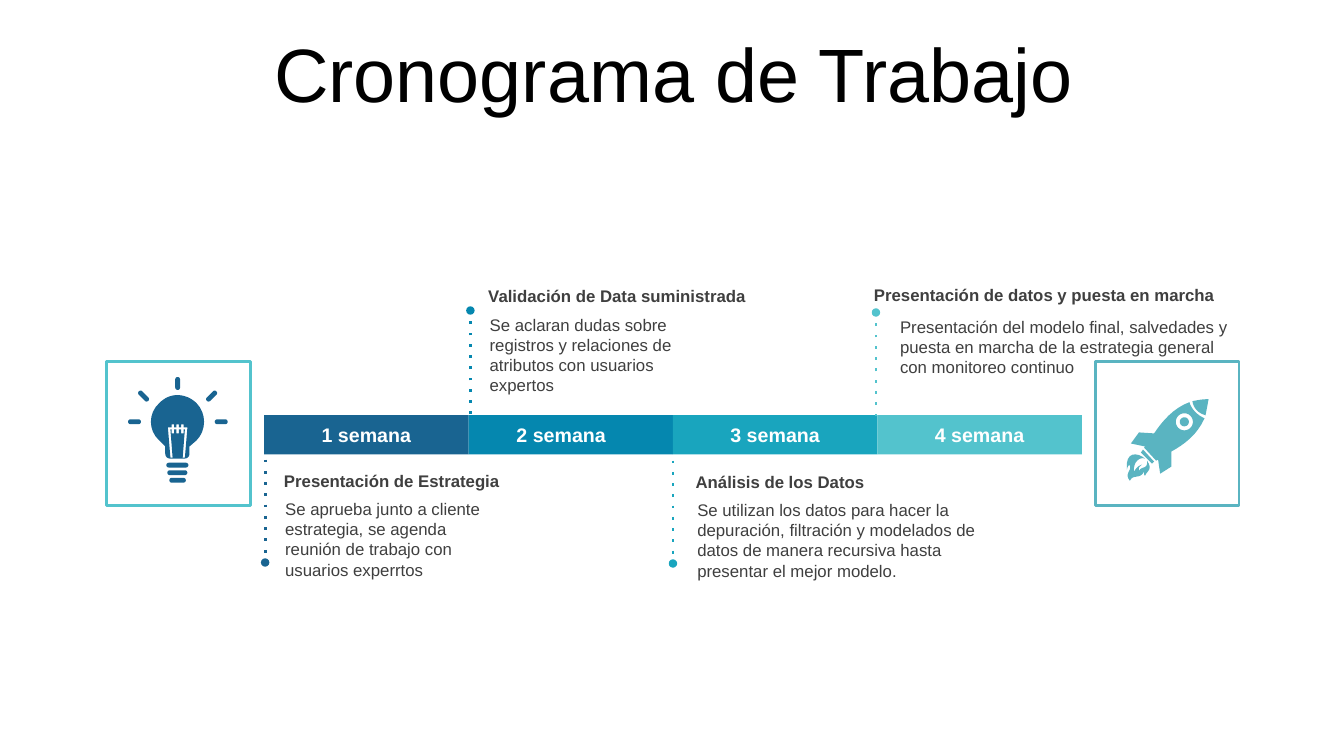
from math import atan2, cos, pi, sin

from lxml import etree
from pptx import Presentation
from pptx.dml.color import RGBColor
from pptx.enum.shapes import MSO_CONNECTOR, MSO_SHAPE
from pptx.enum.text import MSO_ANCHOR, MSO_AUTO_SIZE, PP_ALIGN
from pptx.oxml.ns import qn
from pptx.util import Pt

RECT, LINE = MSO_SHAPE.RECTANGLE, MSO_CONNECTOR.STRAIGHT
MID, TOP = MSO_ANCHOR.MIDDLE, MSO_ANCHOR.TOP
LEFT, MIDST = PP_ALIGN.LEFT, PP_ALIGN.CENTER
GROW, FIXED = MSO_AUTO_SIZE.SHAPE_TO_FIT_TEXT, MSO_AUTO_SIZE.NONE

BLACK = RGBColor(0x00, 0x00, 0x00)
WHITE = RGBColor(0xFF, 0xFF, 0xFF)
GREY = RGBColor(0x3F, 0x3F, 0x3F)
NAVY = RGBColor(0x19, 0x64, 0x91)
BLUE = RGBColor(0x05, 0x87, 0xAF)
TEAL = RGBColor(0x19, 0xA5, 0xBE)
AQUA = RGBColor(0x53, 0xC3, 0xCD)
STEEL = RGBColor(0x5A, 0xB4, 0xC1)

# Week bars: label, colour, alignment, left inset
BAR_X, BAR_Y, BAR_W, BAR_H = 188.7, 296.5, 146, 28.1
WEEKS = [
    ("1 semana", NAVY, MIDST, 7.2),
    ("2 semana", BLUE, LEFT, 34.2),
    ("3 semana", TEAL, MIDST, 7.2),
    ("4 semana", AQUA, MIDST, 7.2),
]

# Dotted stems: x, start, end
STEMS = [(189.4, 328.3, 401.8), (336, 295.9, 221.8),
         (480.7, 329, 402.5), (625.7, 297.4, 223.2)]

# Notes: heading, its left, top and width; body, its left, top and width
NOTES = [
    ("Presentación de Estrategia", 195.8, 332.6, 175,
     "Se aprueba junto a cliente estrategia, se agenda reunión de trabajo "
     "con usuarios experrtos", 196.6, 352.8, 158.4),
    ("Validación de Data suministrada", 341.7, 200.9, 213.8,
     "Se aclaran dudas sobre registros y relaciones de atributos con "
     "usuarios expertos", 342.7, 221, 149),
    ("Análisis de los Datos", 489.8, 333.4, 168.5,
     "Se utilizan los datos para hacer la depuración, filtración y modelados "
     "de datos de manera recursiva hasta presentar el mejor modelo.",
     491, 353.5, 221),
    ("Presentación de datos y puesta en marcha", 617.2, 199.8, 276.5,
     "Presentación del modelo final, salvedades y puesta en marcha de la "
     "estrategia general con monitoreo continuo", 635.8, 222.5, 258.5),
]

# Icon outlines, in units of 0.72 pt
UNIT = 0.72
BODY = ("M 176 392 C 183 392 190 395 195 400 C 205 410 205 427 195 437 "
        "L 188 443 L 188 450 C 188 453 186 455 183 455 L 169 455 "
        "C 166 455 164 453 164 450 L 164 443 L 158 437 "
        "C 147 427 147 410 158 400 C 163 395 169 392 176 392")
WIRE = [(1.3, 421), (1.3, 424), (3.5, 424), (3.5, 421), (6, 421), (6, 424),
        (9.7, 424), (7.2, 454), (5, 454), (7.2, 426), (6, 426), (6, 430),
        (3.5, 430), (3.5, 426), (1.3, 426), (1.3, 430)]
AXIS = 176.3
RODS = [(170.5, 476.5, 182, 476.5), (168.5, 469, 183.5, 469),
        (167.5, 461.5, 184.5, 461.5), (129.5, 418.5, 137.5, 418.5),
        (215.5, 418.5, 223.5, 418.5), (207, 396, 213, 390),
        (139.5, 390, 145.5, 396), (AXIS, 376.5, AXIS, 384.5)]
ROCKET = [
    # Flame
    "M 1136 455 C 1131 453 1124 458 1125 468 C 1128 463 1130 462 1133 461 "
    "C 1132 462 1129 463 1130 467 C 1133 462 1139 466 1138 457 "
    "C 1144 466 1138 467 1136 472 C 1134 471 1136 466 1135 468 "
    "C 1131 476 1124 470 1121 477 C 1115 470 1123 467 1121 462 "
    "C 1121 461 1119 461 1118 466 C 1116 447 1129 449 1136 455",
    # Nozzle
    "M 1134 446 L 1145 458 L 1143 460 L 1132 449",
    # Hull
    "M 1180 399 C 1182 406 1188 412 1195 415 C 1188 431 1175 441 1162 448 "
    "L 1162 463 L 1151 470 L 1149 456 L 1147 457 L 1135 444 L 1136 443 "
    "L 1122 440 L 1130 429 L 1145 430 C 1153 418 1164 405 1180 399",
    # Nose
    "M 1199 396 C 1198 402 1197 407 1196 412 C 1189 410 1184 405 1183 398 "
    "C 1188 397 1193 396 1199 396",
]


def put(obj, vals):
    for name, val in vals.items():
        setattr(obj, name, val)


def box(x, y, w, h):
    return [Pt(v) for v in (x, y, w, h)]


def write(shape, text, size, color, bold=False, align=LEFT, anchor=TOP,
          fit=GROW, inset=7.2, space=1.0):
    frame = shape.text_frame
    frame.text = text
    put(frame, {"word_wrap": True, "auto_size": fit,
                "vertical_anchor": anchor, "margin_left": Pt(inset),
                "margin_right": Pt(7.2), "margin_top": Pt(3.6),
                "margin_bottom": Pt(3.6)})
    para = frame.paragraphs[0]
    put(para, {"alignment": align, "line_spacing": space})
    font = para.runs[0].font
    put(font, {"name": "Arial", "size": Pt(size), "bold": bold})
    font.color.rgb = color


def paint(shape, fill=None, edge=None):
    shape.shadow.inherit = False
    for part, color in ((shape.fill, fill), (shape.line.fill, edge)):
        if color is None:
            part.background()
        else:
            part.solid()
            part.fore_color.rgb = color


def label(slide, text, x, y, w, h, bold=False):
    write(slide.shapes.add_textbox(*box(x, y, w, h)), text, 12, GREY, bold)


def stem(slide, x, start, end, color):
    line = slide.shapes.add_connector(LINE, Pt(x), Pt(start), Pt(x), Pt(end))
    line.line.width = Pt(2)
    line.line.color.rgb = color
    props = line._element.spPr
    edge = props.find(qn("a:ln"))
    etree.SubElement(edge, qn("a:prstDash"), val="dot")
    etree.SubElement(edge, qn("a:tailEnd"), type="oval")
    etree.SubElement(props, qn("a:effectLst"))


def trace(text):
    """Turn M, L and C commands into points."""
    words, pts, i = text.split(), [], 0
    while i < len(words):
        count = 6 if words[i] == "C" else 2
        nums = [float(n) for n in words[i + 1:i + 1 + count]]
        ends = list(zip(nums[::2], nums[1::2]))
        if count == 2:
            pts += ends
        else:
            curve = [pts[-1]] + ends
            for t in (k / 8 for k in range(1, 9)):
                mix = ((1 - t) ** 3, 3 * t * (1 - t) ** 2,
                       3 * t * t * (1 - t), t ** 3)
                pts.append(tuple(sum(m * p[d] for m, p in zip(mix, curve))
                                 for d in (0, 1)))
        i += count + 1
    return pts


def rod(x1, y1, x2, y2, rad=2.4):
    """Outline a bar with round ends, or a disc when both ends meet."""
    turn = atan2(y2 - y1, x2 - x1)
    return [(x + rad * cos(turn + start + k * pi / 12),
             y + rad * sin(turn + start + k * pi / 12))
            for x, y, start in ((x2, y2, -pi / 2), (x1, y1, pi / 2))
            for k in range(13)]


def icon(slide, loops, color):
    loops = [[(Pt(x * UNIT), Pt(y * UNIT)) for x, y in pts] for pts in loops]
    pen = slide.shapes.build_freeform(*loops[0][0], scale=1.0)
    for i, pts in enumerate(loops):
        if i:
            pen.move_to(*pts[0])
        pen.add_line_segments(pts[1:], close=True)
    paint(pen.convert_to_shape(), fill=color)


def tile(slide, x, color):
    shape = slide.shapes.add_shape(RECT, *box(x, 258.5, 102.6, 102.6))
    paint(shape, edge=color)
    shape.line.width = Pt(2)


def main():
    deck = Presentation()
    put(deck, {"slide_width": Pt(960), "slide_height": Pt(540)})
    slide = deck.slides.add_slide(deck.slide_layouts[5])

    # Title
    title = slide.shapes.title
    put(title, dict(zip(("left", "top", "width", "height"),
                        box(25.2, 22.3, 911.5, 66.2))))
    write(title, "Cronograma de Trabajo", 54, BLACK, align=MIDST, anchor=MID,
          space=0.9)

    # Week bars
    for i, (text, color, align, inset) in enumerate(WEEKS):
        bar = slide.shapes.add_shape(
            RECT, *box(BAR_X + i * BAR_W, BAR_Y, BAR_W, BAR_H))
        paint(bar, fill=color)
        write(bar, text, 14, WHITE, True, align, MID, FIXED, inset)

    # Stems and notes
    for week, place in zip(WEEKS, STEMS):
        stem(slide, *place, week[1])
    for head, hx, hy, hw, body, bx, by, bw in NOTES:
        label(slide, body, bx, by, bw, 65.5)
        label(slide, head, hx, hy, hw, 21.8, True)

    # Rocket
    tile(slide, 782.4, STEEL)
    rings = [rod(1175, 418.5, 1175, 418.5, rad) for rad in (8.5, 4.5)]
    icon(slide, [trace(part) for part in ROCKET] + rings, STEEL)

    # Light bulb
    tile(slide, 76.2, AQUA)
    wire = [(AXIS + x, y) for x, y in WIRE]
    wire += [(AXIS - x, y) for x, y in reversed(WIRE)]
    icon(slide, [trace(BODY), wire] + [rod(*ends) for ends in RODS], NAVY)

    deck.save("out.pptx")


if __name__ == "__main__":
    main()
